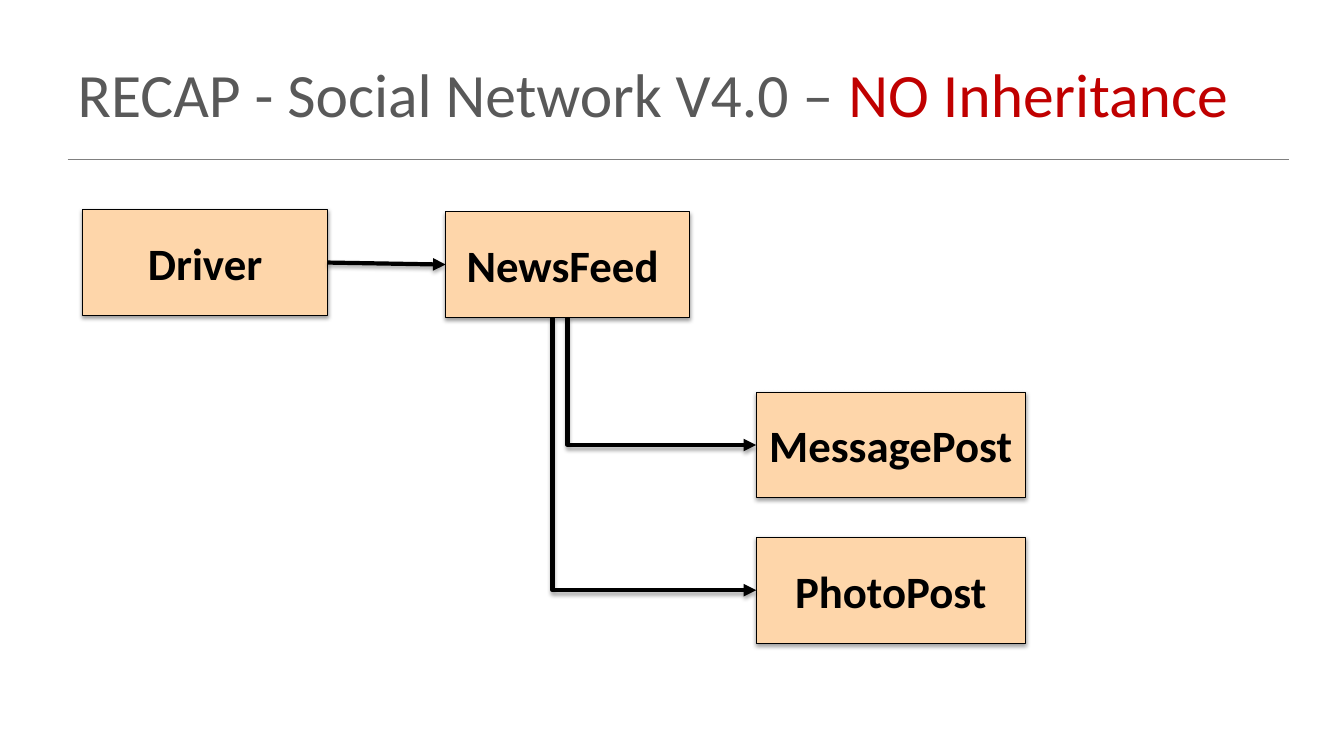
from lxml import etree
from pptx import Presentation
from pptx.dml.color import RGBColor
from pptx.enum.shapes import MSO_CONNECTOR, MSO_SHAPE
from pptx.enum.text import MSO_ANCHOR, MSO_AUTO_SIZE, PP_ALIGN
from pptx.oxml.ns import qn
from pptx.util import Inches, Pt

RECTANGLE = MSO_SHAPE.RECTANGLE
STRAIGHT, ELBOW = MSO_CONNECTOR.STRAIGHT, MSO_CONNECTOR.ELBOW
MIDDLE, NO_FIT = MSO_ANCHOR.MIDDLE, MSO_AUTO_SIZE.NONE
LEFT, CENTER = PP_ALIGN.LEFT, PP_ALIGN.CENTER

BLACK = RGBColor(0x00, 0x00, 0x00)
PEACH = RGBColor(0xFE, 0xD6, 0xAA)
DARK_GRAY = RGBColor(0x59, 0x59, 0x59)
RULE_GRAY = RGBColor(0x80, 0x80, 0x80)
RED = RGBColor(0xC0, 0x00, 0x00)
FONT = "Calibri"

TITLE_RUNS = [
    ("RECAP - Social Network V4.0 – ", DARK_GRAY),
    ("NO Inheritance", RED),
]
CLASS_HEIGHT = 1.05
CLASSES = {
    "Driver": (0.82, 2.08, 2.43),
    "NewsFeed ": (4.42, 2.1, 2.42),
    "MessagePost ": (7.5, 3.89, 2.67),
    "PhotoPost": (7.5, 5.33, 2.67),
}
POST_LINKS = [("MessagePost ", 5.63), ("PhotoPost", 5.48)]


def add_effects(shape, alpha=None, distance=0):
    effects = etree.SubElement(shape._element.spPr, qn("a:effectLst"))
    if alpha:
        shadow = etree.SubElement(
            effects, qn("a:outerShdw"), blurRad=str(Pt(3.1)),
            dist=str(Pt(distance)), dir="5400000", rotWithShape="0")
        color = etree.SubElement(shadow, qn("a:srgbClr"), val=str(BLACK))
        etree.SubElement(color, qn("a:alpha"), val=str(alpha * 1000))


def add_run(paragraph, text, size, color, bold=False):
    run = paragraph.add_run()
    run.text = text
    run.font.name = FONT
    run.font.size = Pt(size)
    run.font.bold = bold
    run.font.color.rgb = color


def add_line(slide, kind, x1, y1, x2, y2, color, width):
    line = slide.shapes.add_connector(
        kind, Inches(x1), Inches(y1), Inches(x2), Inches(y2))
    line.line.color.rgb = color
    line.line.width = Pt(width)
    return line


def add_arrow(slide, kind, *ends):
    arrow = add_line(slide, kind, *ends, BLACK, 3)
    etree.SubElement(arrow.line._get_or_add_ln(), qn("a:tailEnd"), type="triangle")
    add_effects(arrow, 35, 1.8)
    return arrow


def add_down_right_arrow(slide, x1, y1, x2, y2):
    run, drop = x2 - x1, y2 - y1
    center_x, center_y = (x1 + x2) / 2, (y1 + y2) / 2
    arrow = add_arrow(slide, ELBOW, center_x - drop / 2, center_y - run / 2,
                      center_x + drop / 2, center_y + run / 2)
    properties = arrow._element.spPr
    properties.find(qn("a:prstGeom")).set("prst", "bentConnector2")
    frame = properties.find(qn("a:xfrm"))
    frame.set("rot", "16200000")
    frame.set("flipH", "1")


def add_class(slide, name, left, top, width):
    box = slide.shapes.add_shape(
        RECTANGLE, Inches(left), Inches(top), Inches(width), Inches(CLASS_HEIGHT))
    box.fill.solid()
    box.fill.fore_color.rgb = PEACH
    box.line.color.rgb = BLACK
    box.line.width = Pt(0.75)
    add_effects(box, 38, 1.6)
    box.text_frame.vertical_anchor = MIDDLE
    label = box.text_frame.paragraphs[0]
    label.alignment = CENTER
    add_run(label, name, 32, BLACK, True)


def add_title(slide):
    title = slide.shapes.title
    title.left, title.top = Inches(0.67), Inches(0.3)
    title.width, title.height = Inches(12), Inches(1.25)
    title.text_frame.auto_size = NO_FIT
    title.text_frame.vertical_anchor = MIDDLE
    heading = title.text_frame.paragraphs[0]
    heading.alignment = LEFT
    for text, color in TITLE_RUNS:
        add_run(heading, text, 44, color)


def main():
    deck = Presentation()
    deck.slide_width, deck.slide_height = Inches(13.33), Inches(7.5)
    slide = deck.slides.add_slide(deck.slide_layouts[5])
    add_title(slide)
    add_effects(add_line(slide, STRAIGHT, 0.67, 1.58, 12.78, 1.58, RULE_GRAY, 1))

    for name, place in CLASSES.items():
        add_class(slide, name, *place)

    driver_left, driver_top, driver_width = CLASSES["Driver"]
    feed_left, feed_top, _ = CLASSES["NewsFeed "]
    half = CLASS_HEIGHT / 2
    add_arrow(slide, STRAIGHT, driver_left + driver_width, driver_top + half,
              feed_left, feed_top + half)
    for post, start_x in POST_LINKS:
        post_left, post_top, _ = CLASSES[post]
        add_down_right_arrow(slide, start_x, feed_top + CLASS_HEIGHT,
                             post_left, post_top + half)
    deck.save("out.pptx")


if __name__ == "__main__":
    main()
